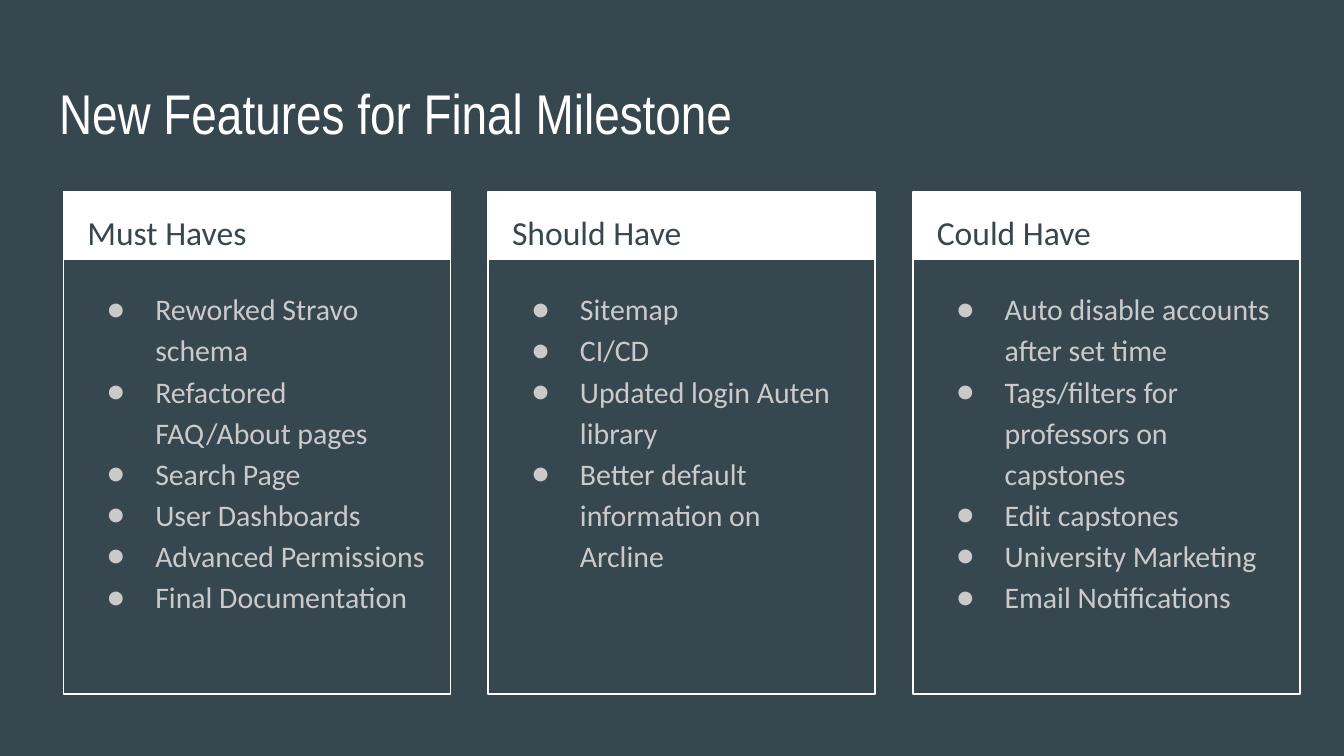
from dataclasses import dataclass

from lxml import etree
from pptx import Presentation
from pptx import util as u
from pptx.dml.color import RGBColor
from pptx.enum import shapes, text
from pptx.oxml import ns

SLATE, WHITE, GREY = "37474F", "FFFFFF", "CACACA"
WIDTH = u.Inches(10)
HEIGHT = u.Emu(WIDTH * 9 // 16)
FIRST_COLUMN, COLUMN_STEP, CARD_WIDTH = 4.72, 31.6, 28.8
CARD_TOP, CARD_HEIGHT, HEADER_HEIGHT = 25.4, 66.4, 9


@dataclass(frozen=True)
class Box:
    left: float
    top: float
    width: float
    height: float

    def lengths(self) -> tuple[int, int, int, int]:
        return (int(WIDTH * self.left / 100), int(HEIGHT * self.top / 100),
                int(WIDTH * self.width / 100), int(HEIGHT * self.height / 100))


@dataclass(frozen=True)
class Style:
    font: str
    size: int
    color: str
    spacing: float = 1.0
    bullet: str = ""


@dataclass(frozen=True)
class Card:
    heading: str
    features: tuple[str, ...]


TITLE = Style("Arial Narrow", 30, WHITE)
HEADING = Style("Calibri", 18, SLATE, 1.15)
FEATURE = Style("Calibri", 16, GREY, 1.15, "●")

CARDS = (
    Card("Must Haves", ("Reworked Stravo schema", "Refactored FAQ/About pages",
                        "Search Page", "User Dashboards",
                        "Advanced Permissions", "Final Documentation")),
    Card("Should Have", ("Sitemap", "CI/CD", "Updated login Auten library",
                         "Better default information on Arcline")),
    Card("Could Have", ("Auto disable accounts after set time",
                        "Tags/filters for professors on capstones",
                        "Edit capstones", "University Marketing",
                        "Email Notifications")),
)


def rgb(color: str) -> RGBColor:
    return RGBColor.from_string(color)


def add_bullet(p, style: Style) -> None:
    pPr = p._p.get_or_add_pPr()
    pPr.set("marL", str(u.Inches(0.5)))
    pPr.set("indent", str(u.Inches(-0.36)))
    buClr = etree.SubElement(pPr, ns.qn("a:buClr"))
    etree.SubElement(buClr, ns.qn("a:srgbClr"), val=style.color)
    etree.SubElement(pPr, ns.qn("a:buFont"), typeface=style.font)
    etree.SubElement(pPr, ns.qn("a:buChar"), char=style.bullet)


def add_text(s, box: Box, lines: tuple[str, ...], style: Style) -> None:
    tf = s.shapes.add_textbox(*box.lengths()).text_frame
    tf.word_wrap = True
    tf.vertical_anchor = text.MSO_ANCHOR.TOP
    tf.margin_left = tf.margin_right = u.Inches(0.1)
    tf.margin_top = tf.margin_bottom = u.Inches(0.1)
    for i, line in enumerate(lines):
        p = tf.add_paragraph() if i else tf.paragraphs[0]
        p.line_spacing = style.spacing
        if style.bullet:
            add_bullet(p, style)
        r = p.add_run()
        r.text = line
        r.font.name = style.font
        r.font.size = u.Pt(style.size)
        r.font.color.rgb = rgb(style.color)


def add_rectangle(group, box: Box, fill: str = "", line: str = "") -> None:
    sp = group.shapes.add_shape(shapes.MSO_SHAPE.RECTANGLE, *box.lengths())
    sp.shadow.inherit = False
    if fill:
        sp.fill.solid()
        sp.fill.fore_color.rgb = rgb(fill)
    else:
        sp.fill.background()
    if line:
        sp.line.color.rgb = rgb(line)
        sp.line.width = u.Pt(0.75)
    else:
        sp.line.fill.background()


def add_card(s, column: int, card: Card) -> None:
    left = FIRST_COLUMN + column * COLUMN_STEP
    group = s.shapes.add_group_shape()
    add_rectangle(group, Box(left, CARD_TOP, CARD_WIDTH, HEADER_HEIGHT), fill=WHITE)
    add_rectangle(group, Box(left, CARD_TOP, CARD_WIDTH, CARD_HEIGHT), line=WHITE)
    add_text(s, Box(left + 0.8, CARD_TOP, 27.3, 8.9), (card.heading,), HEADING)
    add_text(s, Box(left + 0.85, 36, 27.1, 54.4), card.features, FEATURE)


def main() -> None:
    prs = Presentation()
    prs.slide_width, prs.slide_height = WIDTH, HEIGHT
    s = prs.slides.add_slide(prs.slide_layouts[6])
    s.background.fill.solid()
    s.background.fill.fore_color.rgb = rgb(SLATE)
    add_text(s, Box(3.41, 8.65, 93.2, 11.2), ("New Features for Final Milestone",), TITLE)
    for column, card in enumerate(CARDS):
        add_card(s, column, card)
    prs.save("out.pptx")


if __name__ == "__main__":
    main()
